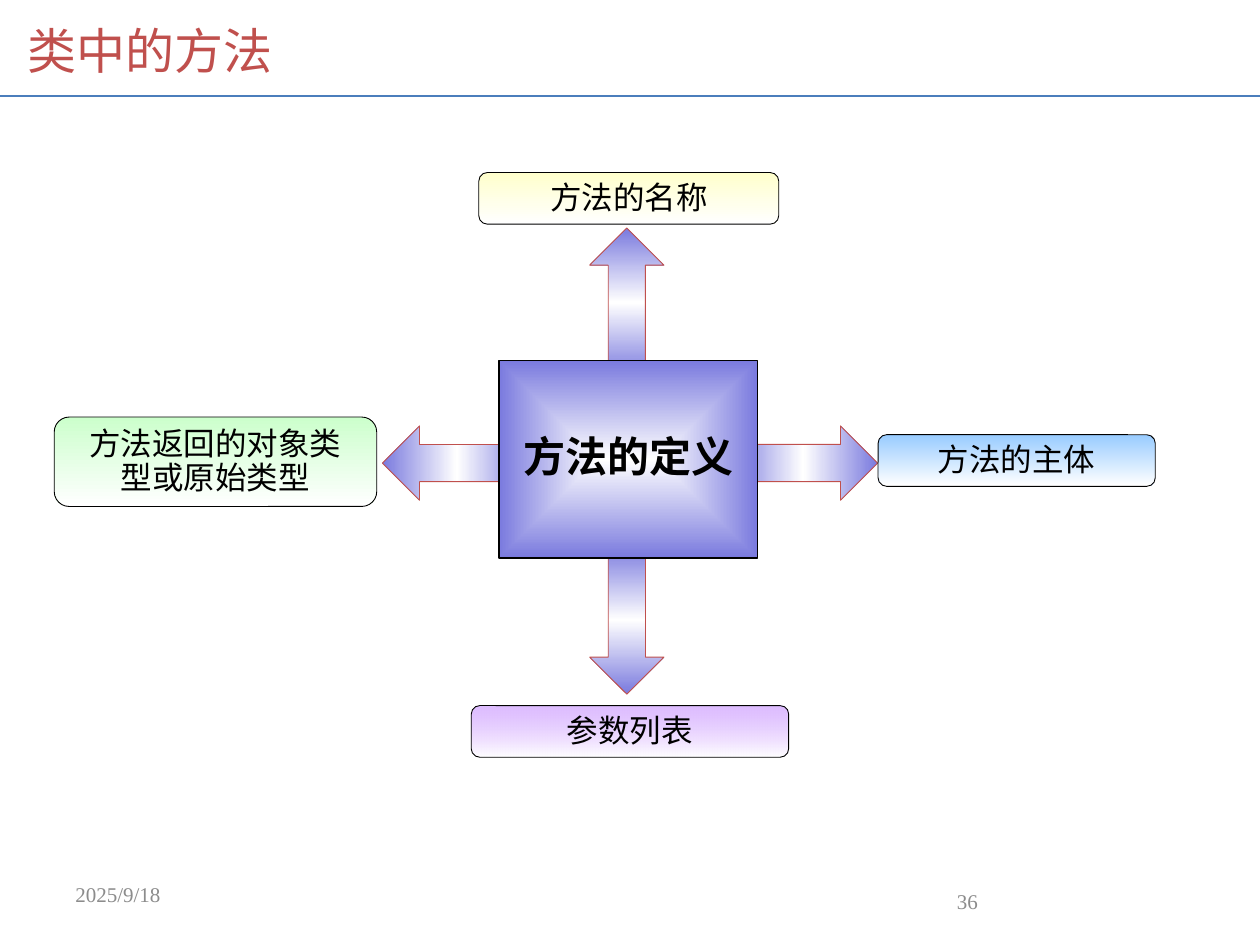
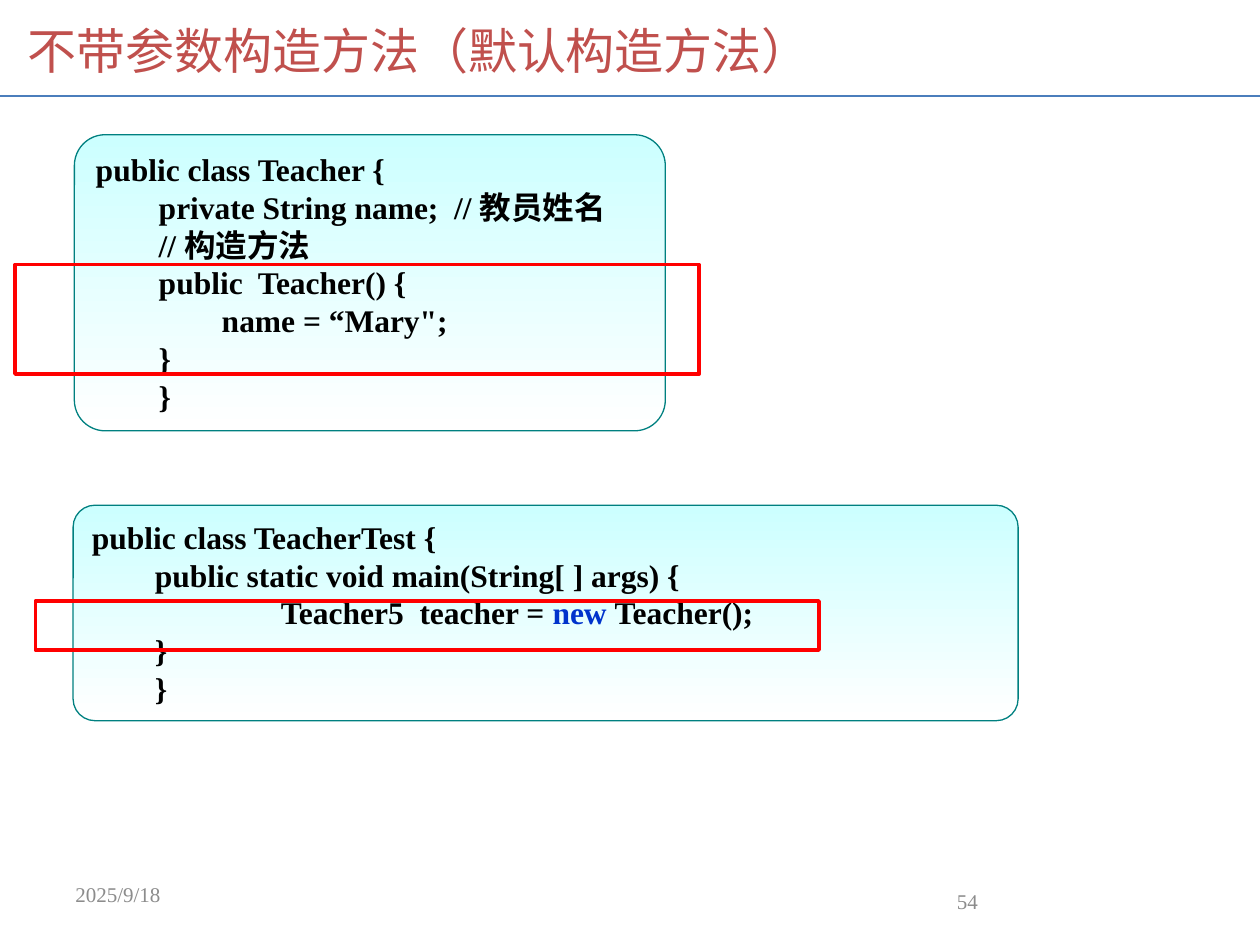
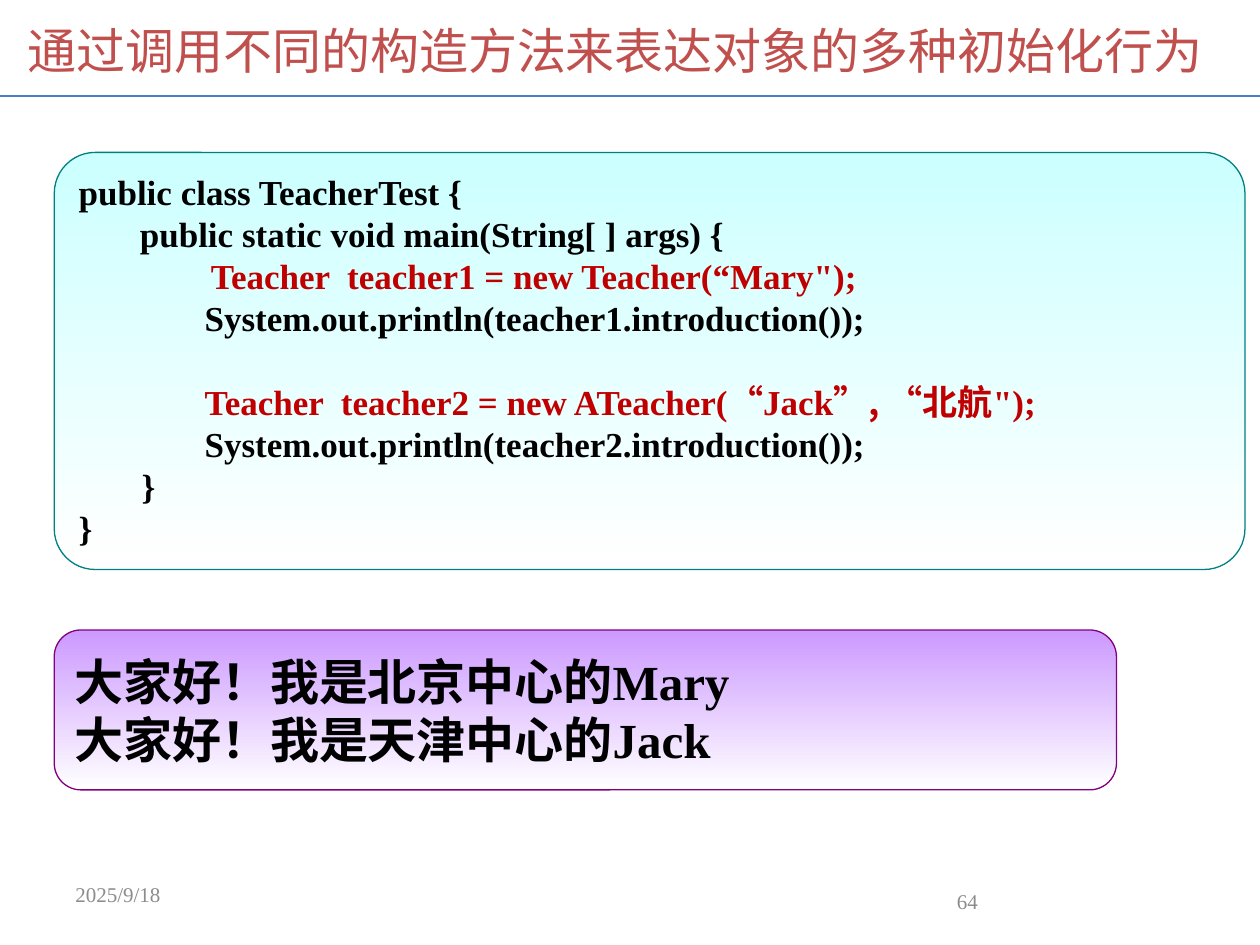
from dataclasses import dataclass

from lxml import etree
from pptx import Presentation
from pptx.dml.color import RGBColor
from pptx.enum.shapes import MSO_CONNECTOR, MSO_SHAPE
from pptx.enum.text import MSO_ANCHOR, PP_ALIGN
from pptx.oxml import parse_xml
from pptx.oxml.ns import nsdecls, qn
from pptx.util import Pt

LEFT, CENTER, RIGHT = PP_ALIGN.LEFT, PP_ALIGN.CENTER, PP_ALIGN.RIGHT
TOP, MIDDLE = MSO_ANCHOR.TOP, MSO_ANCHOR.MIDDLE
RECTANGLE, ROUNDED = MSO_SHAPE.RECTANGLE, MSO_SHAPE.ROUNDED_RECTANGLE
UP_ARROW = MSO_SHAPE.UP_ARROW
STRAIGHT = MSO_CONNECTOR.STRAIGHT
TITLE_ONLY = 5


@dataclass(frozen=True)
class Theme:
    title: str = "C0504D"
    rule: str = "4B7EBC"
    muted: str = "8C8C8C"
    ink: str = "000000"
    white: str = "FFFFFF"
    hub: str = "7A7ADE"
    yellow: str = "FFFFCC"
    green: str = "CCFFCC"
    blue: str = "99CCFF"
    purple: str = "CC99FF"
    purple_edge: str = "800080"
    code_fill: str = "CCFFFF"
    code_edge: str = "008080"
    keyword: str = "0033CC"
    accent: str = "C00000"
    highlight: str = "FF0000"
    serif: str = "Times New Roman"
    mono: str = "Courier New"
    cjk: str = "Noto Sans CJK SC"
    title_size: int = 28
    output_size: int = 28
    hub_size: int = 24
    large_code_size: int = 20
    body_size: int = 18
    footer_size: int = 12
    line_height: float = 1.2
    tight_height: float = 1.08


class Deck:
    def __init__(self, theme):
        self.theme = theme
        self.presentation = Presentation()
        self.presentation.slide_width = Pt(720)
        self.presentation.slide_height = Pt(540)
        self.page = None

    def add_page(self, title, number, title_width=680.4):
        theme = self.theme
        layout = self.presentation.slide_layouts[TITLE_ONLY]
        self.page = self.presentation.slides.add_slide(layout)
        self.rule(54.7)
        heading = self.page.shapes.title
        heading.left, heading.top = Pt(8.64), Pt(3.6)
        heading.width, heading.height = Pt(title_width), Pt(49.7)
        self.set_text(heading, [title], theme.title_size, color=theme.title,
                      font=theme.cjk, anchor=MIDDLE)
        self.text((36, 500.4, 168, 28.8), "2025/9/18", theme.footer_size,
                  color=theme.muted)
        self.text((516.2, 500.4, 49.7, 28.8), str(number), theme.footer_size,
                  color=theme.muted, align=RIGHT, anchor=MIDDLE)

    def rule(self, top):
        line = self.page.shapes.add_connector(STRAIGHT, Pt(0), Pt(top), Pt(720), Pt(top))
        line.line.color.rgb = RGBColor.from_string(self.theme.rule)
        line.line.width = Pt(1)
        etree.SubElement(line._element.spPr, qn("a:effectLst"))

    def format_span(self, span, size, color, font, bold):
        span.font.size = Pt(size)
        span.font.bold = bold
        span.font.name = font
        span.font.color.rgb = RGBColor.from_string(color)
        east_asian = etree.SubElement(span._r.get_or_add_rPr(), qn("a:ea"))
        east_asian.set("typeface", self.theme.cjk)

    def set_text(self, box, lines, size, color=None, font=None, bold=False,
                 align=LEFT, anchor=TOP, height=None, wrap=True):
        frame = box.text_frame
        frame.word_wrap = wrap
        frame.vertical_anchor = anchor
        frame.text = "\n".join(lines)
        for para in frame.paragraphs:
            para.alignment = align
            if height:
                para.line_spacing = Pt(round(size * height, 2))
            for span in para.runs:
                self.format_span(span, size, color or self.theme.ink,
                                 font or self.theme.serif, bold)

    def text(self, area, words, size, **style):
        box = self.page.shapes.add_textbox(*map(Pt, area))
        self.set_text(box, [words], size, **style)

    def shape(self, kind, area, edge, weight, adjustments=()):
        box = self.page.shapes.add_shape(kind, *map(Pt, area))
        box.shadow.inherit = False
        box.fill.background()
        box.line.color.rgb = RGBColor.from_string(edge)
        box.line.width = Pt(weight)
        for index, value in enumerate(adjustments):
            box.adjustments[index] = value
        return box

    def gradient(self, box, stops, from_center=False):
        fill = parse_xml(f'<a:gradFill rotWithShape="1" {nsdecls("a")}><a:gsLst/></a:gradFill>')
        for position, color, opacity in stops:
            stop = etree.SubElement(fill[0], qn("a:gs"), pos=str(position * 1000))
            paint = etree.SubElement(stop, qn("a:srgbClr"), val=color)
            if opacity < 100:
                etree.SubElement(paint, qn("a:alpha"), val=str(opacity * 1000))
        if from_center:
            shade = etree.SubElement(fill, qn("a:path"), {"path": "shape"})
            etree.SubElement(shade, qn("a:fillToRect"),
                             dict.fromkeys("ltrb", "50000"))
        else:
            etree.SubElement(fill, qn("a:lin"), ang="5400000", scaled="1")
        properties = box._element.spPr
        properties.replace(properties.find(qn("a:noFill")), fill)

    def panel(self, area, color, edge, weight, corner=0.167, opacity=100):
        box = self.shape(ROUNDED, area, edge, weight, [corner])
        self.gradient(box, [(0, color, opacity), (100, self.theme.white, 100)])
        return box

    def label(self, area, lines, color, opacity=100):
        box = self.panel(area, color, self.theme.ink, 0.5, opacity=opacity)
        self.set_text(box, lines, self.theme.body_size, align=CENTER, anchor=MIDDLE,
                      height=self.theme.tight_height)

    def arrow(self, center_x, center_y, rotation):
        theme = self.theme
        width, length = 42.5, 85
        area = (center_x - width / 2, center_y - length / 2, width, length)
        arrow = self.shape(UP_ARROW, area, theme.title, 0.5, [0.5, 0.5])
        arrow.rotation = rotation
        self.gradient(arrow, [(0, theme.hub, 100), (50, theme.white, 100),
                              (100, theme.hub, 100)])

    def hub(self, area, words):
        theme = self.theme
        box = self.shape(RECTANGLE, area, theme.ink, 0.75)
        self.gradient(box, [(0, theme.white, 100), (100, theme.hub, 100)], True)
        self.text((290.9, 245.5, 136, 33.8), words, theme.hub_size, font=theme.mono,
                  bold=True, align=CENTER, height=theme.tight_height)

    def code(self, area, lines, size, corner):
        theme = self.theme
        box = self.panel(area, theme.code_fill, theme.code_edge, 0.75, corner)
        sources = ["".join(words for words, *_ in spans) for _, *spans in lines]
        self.set_text(box, sources, size, bold=True, height=theme.line_height)
        for para, (indent, *spans) in zip(box.text_frame.paragraphs, lines):
            para._p.get_or_add_pPr().set("marL", str(Pt(indent)))
            if len(spans[0]) > 1:
                para.clear()
                for words, color, font in spans:
                    span = para.add_run()
                    span.text = words
                    self.format_span(span, size, color, font, True)
        return box

    def highlight(self, area):
        self.shape(RECTANGLE, area, self.theme.highlight, 2)


def method_parts(deck):
    theme = deck.theme
    deck.add_page("类中的方法", 36)
    center_x, center_y = 358.2, 264.6
    for shift_x, shift_y, rotation in [(0, -91.8, 0), (0, 89.6, 180),
                                       (-97.2, 0, 270), (100.8, 0, 90)]:
        deck.arrow(center_x + shift_x, center_y + shift_y, rotation)
    deck.hub((285.1, 205.9, 147.6, 113), "方法的定义")
    deck.label((273.6, 98.6, 171.4, 29.5), ["方法的名称"], theme.yellow)
    deck.label((269.3, 403.2, 181.4, 29.5), ["参数列表"], theme.purple, 65)
    deck.label((501.8, 248.4, 158.4, 29.5), ["方法的主体"], theme.blue)
    deck.label((31, 238.3, 184.3, 51.1), ["方法返回的对象类", "型或原始类型"], theme.green)


def default_constructor(deck):
    theme = deck.theme
    deck.add_page("不带参数构造方法（默认构造方法）", 54)
    deck.code((42.5, 77, 337.7, 169.2), [
        (0, ("public class Teacher {",)),
        (36, ("private String name;  // 教员姓名",)),
        (36, ("// 构造方法",)),
        (36, ("public  Teacher() {",)),
        (72, ("name = “Mary\";",)),
        (36, ("}",)),
        (36, ("}",)),
    ], theme.body_size, 0.104)
    deck.code((41.8, 288.7, 540, 123.1), [
        (0, ("public class TeacherTest {",)),
        (36, ("public static void main(String[ ] args) {",)),
        (108, ("Teacher5  teacher = ", theme.ink, theme.serif),
         ("new ", theme.keyword, theme.serif),
         ("Teacher();", theme.ink, theme.serif)),
        (36, ("}",)),
        (36, ("}",)),
    ], theme.body_size, 0.101)
    deck.highlight((8.6, 151.2, 391, 62.6))
    deck.highlight((20.2, 343.4, 447.8, 28.1))


def constructor_calls(deck):
    theme = deck.theme
    deck.add_page("通过调用不同的构造方法来表达对象的多种初始化行为", 64, 697.7)
    size = theme.large_code_size
    box = deck.code((31, 87.1, 680.4, 238.3), [
        (0, ("public class TeacherTest {",)),
        (0, ("       public static void main(String[ ] args) {",)),
        (36, ("        Teacher  teacher1 = new Teacher(“Mary\");", theme.accent, theme.serif)),
        (72, ("System.out.println(teacher1.introduction());",)),
        (72, ("Teacher  teacher2 = new ATeacher(", theme.accent, theme.serif),
         ("“", theme.accent, theme.cjk),
         ("Jack", theme.accent, theme.serif),
         ("”, “北航", theme.accent, theme.cjk),
         ("\");", theme.accent, theme.serif)),
        (72, ("System.out.println(teacher2.introduction());",)),
        (36, ("}",)),
        (0, ("}",)),
    ], size, 0.098)
    second_call = box.text_frame.paragraphs[4]
    second_call.space_before = Pt(size * theme.line_height)
    output = deck.panel((31, 360, 607, 91.4), theme.purple, theme.purple_edge, 0.75)
    deck.set_text(output, ["大家好！我是北京中心的Mary", "大家好！我是天津中心的Jack"],
                  theme.output_size, bold=True, anchor=MIDDLE,
                  height=theme.line_height, wrap=False)


def main():
    deck = Deck(Theme())
    method_parts(deck)
    default_constructor(deck)
    constructor_calls(deck)
    deck.presentation.save("out.pptx")


if __name__ == "__main__":
    main()
